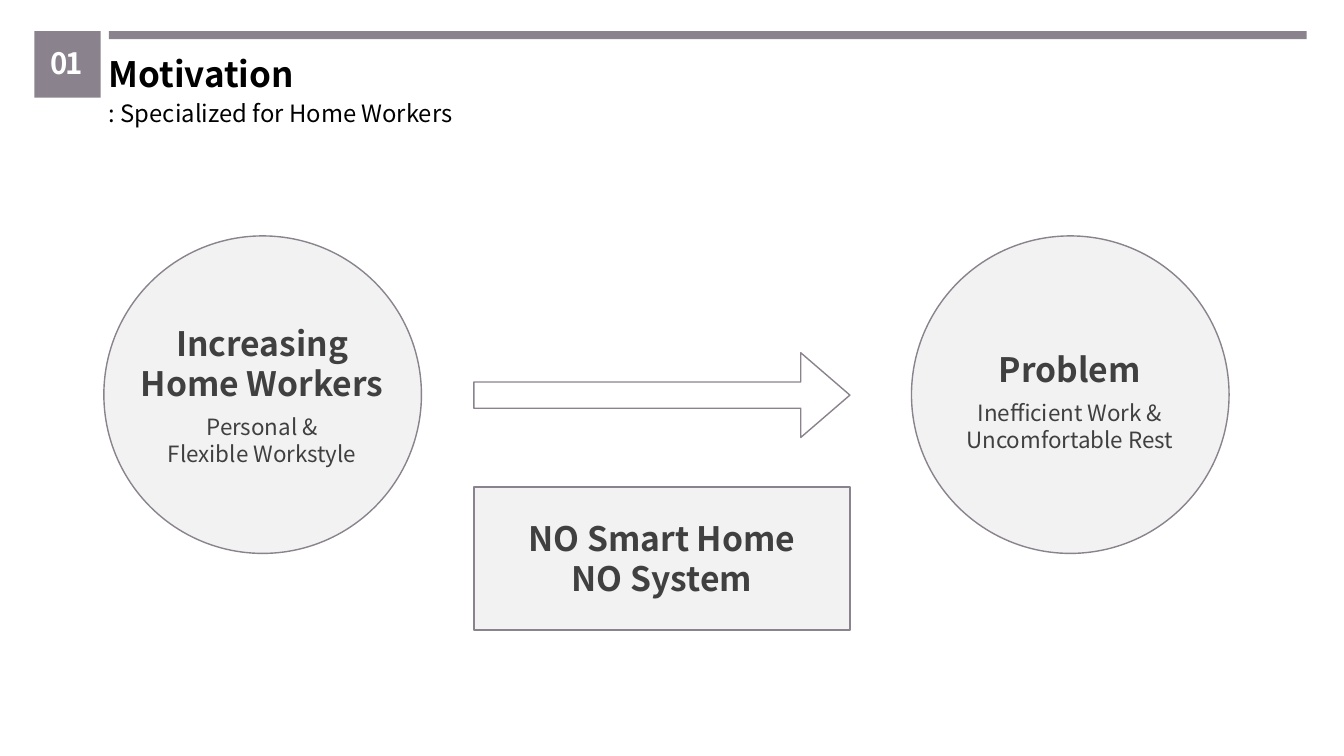
import pptx
import pptx.util
import pptx.dml.color
import pptx.enum.shapes
import pptx.enum.text

PX = 9144  # 100 px to the inch
FONT = "Noto Sans CJK KR"
COLORS = {"accent": "8A838D", "panel": "F2F2F2", "body": "404040",
          "title": "000000", "white": "FFFFFF"}
SHAPE = pptx.enum.shapes.MSO_SHAPE
ALIGN = pptx.enum.text.PP_ALIGN


def rgb(name):
    return pptx.dml.color.RGBColor.from_string(COLORS[name])


def emu(*lengths):
    return [n * PX for n in lengths]


def add_shape(slide, kind, box, fill=None, line=None):
    sp = slide.shapes.add_shape(kind, *emu(*box))
    sp.shadow.inherit = False
    if fill:
        sp.fill.solid()
        sp.fill.fore_color.rgb = rgb(fill)
    else:
        sp.fill.background()
    if line:
        sp.line.color.rgb = rgb(line)
        sp.line.width = pptx.util.Pt(1)
    else:
        sp.line.fill.background()
    return sp


def write(sp, lines, size, color, bold=False, align=ALIGN.CENTER):
    tf = sp.text_frame
    tf.word_wrap = True
    tf.auto_size = pptx.enum.text.MSO_AUTO_SIZE.NONE
    tf.vertical_anchor = pptx.enum.text.MSO_ANCHOR.TOP
    tf.text = "\n".join(lines)
    for p in tf.paragraphs:
        p.alignment = align
        p.line_spacing = 1.0
        p.font.name = FONT
        p.font.size = pptx.util.Pt(size)
        p.font.bold = bold
        p.font.color.rgb = rgb(color)


def add_text(slide, box, *args, **kwargs):
    sp = slide.shapes.add_textbox(*emu(*box))
    write(sp, *args, **kwargs)
    return sp


def add_header(slide, box, number, title, subtitle):
    x, y, w = box
    # Number badge and rule
    add_shape(slide, SHAPE.RECTANGLE, (x, y, 66, 66), "accent")
    add_shape(slide, SHAPE.RECTANGLE, (x + 74, y, w - 74, 8), "accent")
    badge = add_text(slide, (x - 15, y + 9, 94, 46), [number], 21, "white", True)
    badge.text_frame.paragraphs[0].runs[0].font._element.set("spc", "-200")
    # Title and subtitle
    sp = slide.shapes.title
    sp.left, sp.top, sp.width, sp.height = emu(x + 64, y + 16, 516, 52)
    write(sp, [title], 25, "title", True, ALIGN.LEFT)
    add_text(slide, (x + 64, y + 62, 391, 39), [subtitle], 17, "title",
             align=ALIGN.LEFT)


def add_circle(slide, box, text_top, heading, detail):
    x, y, d = box
    add_shape(slide, SHAPE.OVAL, (x, y, d, d), "panel", "accent")
    text_w = 334
    text_x = x + (d - text_w) // 2
    heading_h = 10 + 40 * len(heading)
    add_text(slide, (text_x, y + text_top, text_w, heading_h), heading, 24,
             "body", True)
    add_text(slide, (text_x, y + text_top + heading_h, text_w, 64), detail, 16,
             "body")


def add_link(slide, box):
    x, y, w = box
    # Arrow
    arrow = add_shape(slide, SHAPE.RIGHT_ARROW, (x, y, w, 84), line="accent")
    arrow.adjustments[0], arrow.adjustments[1] = 0.31, 0.58
    # Cause
    add_shape(slide, SHAPE.RECTANGLE, (x, y + 133, w, 142), "panel", "accent")
    add_text(slide, (x, y + 159, w, 91), ["NO Smart Home", "NO System"], 24,
             "body", True)


def main():
    prs = pptx.Presentation()
    prs.slide_width, prs.slide_height = emu(1333, 750)
    slide = prs.slides.add_slide(prs.slide_layouts[5])
    add_header(slide, (34, 31, 1262), "01", "Motivation",
               ": Specialized for Home Workers")
    add_circle(slide, (103, 234, 315), 81, ["Increasing", "Home Workers"],
               ["Personal &", "Flexible Workstyle"])
    add_link(slide, (470, 350, 373))
    add_circle(slide, (904, 234, 315), 107, ["Problem"],
               ["Inefficient Work &", "Uncomfortable Rest"])
    prs.save("out.pptx")


if __name__ == "__main__":
    main()
